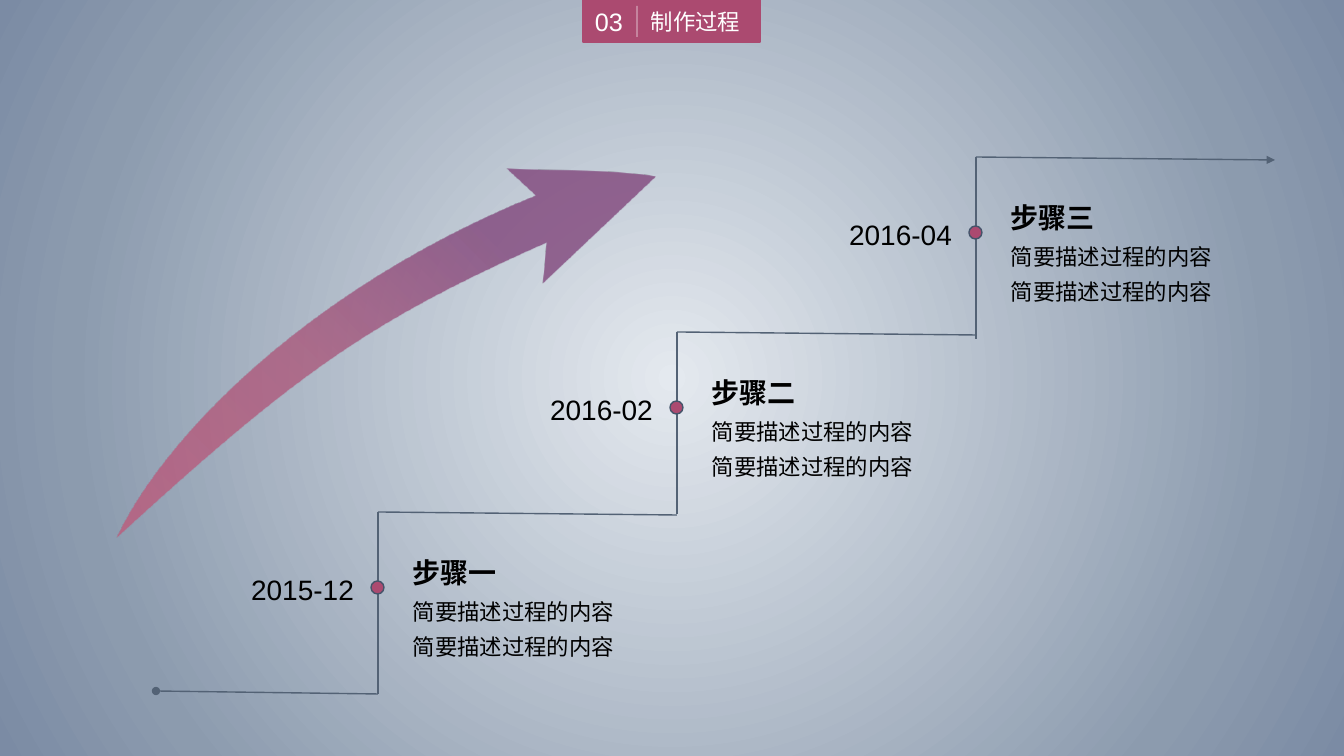
from lxml.etree import SubElement
from pptx import Presentation
from pptx.dml.color import RGBColor
from pptx.enum.shapes import MSO_CONNECTOR, MSO_SHAPE
from pptx.enum.text import MSO_ANCHOR, PP_ALIGN
from pptx.oxml.ns import qn
from pptx.util import Pt

SCALE = 12192000 / 1344
WHITE = RGBColor(0xFF, 0xFF, 0xFF)
BLACK = RGBColor(0, 0, 0)
ROSE = RGBColor(0xAB, 0x4A, 0x70)
PINK = RGBColor(0xC5, 0x4F, 0x71)
PLUM = RGBColor(0x7D, 0x41, 0x78)
SLATE = RGBColor(0x53, 0x62, 0x75)
NAVY = RGBColor(0x44, 0x54, 0x6A)
PALE = RGBColor(0xE4, 0xE9, 0xEF)
GREY = RGBColor(0x8C, 0x9B, 0xAE)
STEEL = RGBColor(0x7B, 0x8B, 0xA4)

STEPS = [
    (378, 588, "步骤一", "2015-12"),
    (677, 408, "步骤二", "2016-02"),
    (976, 233, "步骤三", "2016-04"),
]
DETAIL = "简要描述过程的内容"
TREAD = 299


def emu(*nums):
    """Turn pixels into EMU."""
    return [round(n * SCALE) for n in nums]


def add(parent, tag, **attrs):
    """Append a drawing element."""
    return SubElement(parent, qn(tag), {k: str(v) for k, v in attrs.items()})


def radial(parent, stops, focus):
    """Append a circular gradient of (percent, colour, opacity) stops."""
    grad = add(parent, "a:gradFill", rotWithShape=1)
    ramp = add(grad, "a:gsLst")
    for pos, color, alpha in stops:
        stop = add(ramp, "a:gs", pos=pos * 1000)
        tint = add(stop, "a:srgbClr", val=color)
        add(tint, "a:alpha", val=alpha * 1000)
    shade = add(grad, "a:path", path="circle")
    add(shade, "a:fillToRect", **{k: v * 1000 for k, v in zip("ltrb", focus)})
    return grad


def text(slide, box, lines, size, color=BLACK, align=PP_ALIGN.LEFT,
         bold=False, space=None, anchor=MSO_ANCHOR.TOP, wrap=False):
    """Place a text box with one paragraph a line."""
    frame = slide.shapes.add_textbox(*emu(*box)).text_frame
    frame.word_wrap = wrap
    frame.vertical_anchor = anchor
    frame.text = "\n".join(lines)
    for para in frame.paragraphs:
        para.alignment = align
        para.line_spacing = space
        font = para.font
        font.name, font.size, font.bold = "Arial", Pt(size), bold
        font.color.rgb = color


def line(slide, start, end, color=SLATE, alpha=100, **ends):
    """Draw a thin line, with optional headEnd or tailEnd marks."""
    link = slide.shapes.add_connector(
        MSO_CONNECTOR.STRAIGHT, *emu(*start, *end))
    link.line.width = Pt(1)
    link.line.color.rgb = color
    props = link._element.spPr
    stroke = props.find(qn("a:ln"))
    if alpha < 100:
        add(stroke.find(".//" + qn("a:srgbClr")), "a:alpha", val=alpha * 1000)
    for tag, kind in ends.items():
        add(stroke, "a:" + tag, type=kind)
    add(props, "a:effectLst")


def solid(slide, kind, box, edge):
    """Draw a rose shape with a thin edge."""
    shape = slide.shapes.add_shape(kind, *emu(*box))
    shape.shadow.inherit = False
    shape.fill.solid()
    shape.fill.fore_color.rgb = ROSE
    shape.line.color.rgb = edge
    shape.line.width = Pt(1)


def backdrop(slide):
    """Fill the slide with a glow from its centre."""
    slide.background.fill.solid()
    props = slide._element.cSld.find(qn("p:bg")).find(qn("p:bgPr"))
    stops = [(0, PALE, 100), (78, GREY, 100), (100, STEEL, 100)]
    grad = radial(props, stops, (50, 50, 50, 50))
    props.replace(props[0], grad)


def header(slide, x, y, wide, high):
    """Draw the chapter tag in its box."""
    solid(slide, MSO_SHAPE.RECTANGLE, (x, y, wide, high), ROSE)
    text(slide, (x + 58, y + 3, wide - 58, 37), ["制作过程"], 16, WHITE,
         anchor=MSO_ANCHOR.MIDDLE, wrap=True)
    text(slide, (x, y + 1, 52, 40), ["03"], 18, WHITE, PP_ALIGN.CENTER,
         anchor=MSO_ANCHOR.MIDDLE, wrap=True)
    line(slide, (x + 54, y + 6), (x + 54, y + 37), WHITE, 49)


def step(slide, x, y, title, date, last):
    """Draw one stair and its texts around the dot at x, y."""
    top = y - 76
    line(slide, (x, top), (x, y + 106))
    ends = {"tailEnd": "triangle"} if last else {}
    line(slide, (x, top), (x + TREAD, top + 3), **ends)
    solid(slide, MSO_SHAPE.OVAL, (x - 7, y - 7, 13, 13), NAVY)
    text(slide, (x + 25, y - 37, 105, 44), [title], 20, bold=True)
    text(slide, (x + 25, y - 3, 224, 78), [DETAIL] * 2, 16, space=1.3)
    text(slide, (x - 146, y - 20, 132, 44), [date], 20, align=PP_ALIGN.RIGHT)


def curve(start, pull, push, end, count=24):
    """List points along a cubic curve, without its start."""
    spots = []
    for i in range(1, count + 1):
        t = i / count
        u = 1 - t
        spots.append(tuple(
            u**3 * a + 3 * u * u * t * b + 3 * u * t * t * c + t**3 * d
            for a, b, c, d in zip(start, pull, push, end)))
    return spots


def arrow(slide, x, y, wide, high):
    """Draw the rising arrow in its box."""
    tail, neck, barb = (0, high), (418, 27), (389, 0)
    tip, heel, notch = (wide, 8), (425, 115), (429, 74)
    spots = [
        *curve(tail, (44, 274), (185, 122), neck),
        barb,
        *curve(barb, (438, 3), (488, 0), tip),
        heel,
        notch,
        *curve(notch, (256, 151), (183, 201), tail),
    ]
    route = [emu(x + a, y + b) for a, b in spots]
    pen = slide.shapes.build_freeform(*emu(x + tail[0], y + tail[1]))
    pen.add_line_segments(route, close=True)
    shape = pen.convert_to_shape()
    shape.shadow.inherit = False
    shape.line.fill.background()
    shape.fill.solid()
    props = shape._element.spPr
    stops = [(25, PLUM, 77), (60, ROSE, 68), (100, PINK, 68)]
    grad = radial(props, stops, (100, 0, 0, 100))
    props.replace(props.find(qn("a:solidFill")), grad)


deck = Presentation()
deck.slide_width, deck.slide_height = emu(1344, 756)
slide = deck.slides.add_slide(deck.slide_layouts[6])
backdrop(slide)
header(slide, 583, 0, 177, 42)
line(slide, (156, 691), (378, 694), headEnd="oval")
for item in STEPS:
    step(slide, *item, last=item is STEPS[-1])
arrow(slide, 117, 169, 538, 369)
deck.save("out.pptx")
